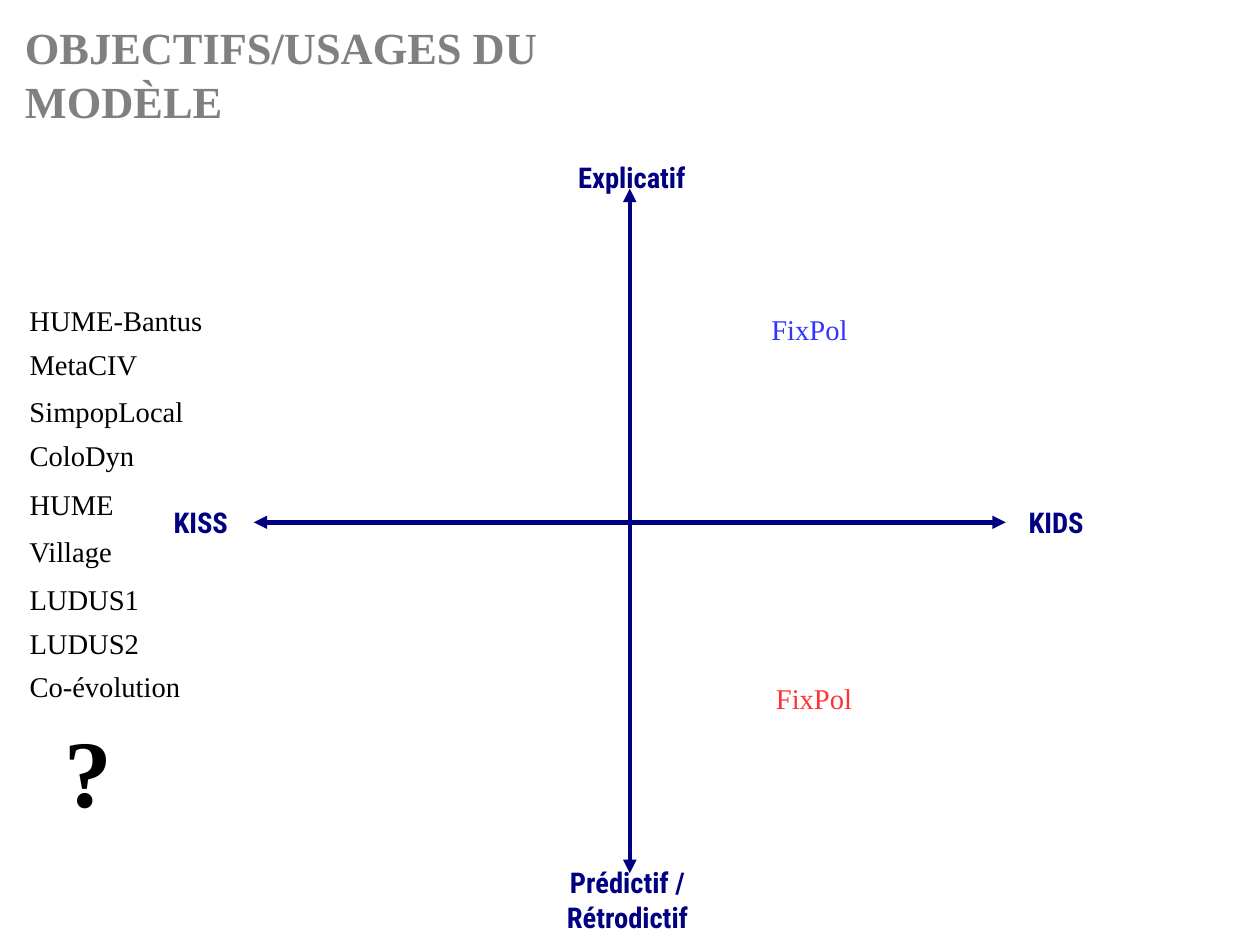
from lxml import etree
from pptx import Presentation
from pptx.dml.color import RGBColor
from pptx.enum.shapes import MSO_CONNECTOR as CONN
from pptx.enum.text import MSO_AUTO_SIZE as FIT, PP_ALIGN as AL
from pptx.oxml.ns import qn
from pptx.util import Inches, Pt

COLORS = {
    "axis": "000080",
    "title": "808080",
    "text": "000000",
    "blue": "3333FF",
    "red": "FF3333",
}
SERIF = "Times New Roman"
CONDENSED = "Roboto Condensed"
CM_PER_INCH = 2.54


class Board:
    def __init__(self, prs):
        self.slide = prs.slides.add_slide(prs.slide_layouts[6])

    def color(self, name):
        return RGBColor.from_string(COLORS[name])

    def text(self, text, x, y, w, h, color="text", size=18, font=SERIF,
             bold=False, align=AL.LEFT):
        sp = self.slide.shapes.add_textbox(Inches(x), Inches(y), Inches(w), Inches(h))
        tf = sp.text_frame
        tf.word_wrap = True
        tf.auto_size = FIT.SHAPE_TO_FIT_TEXT
        p = tf.paragraphs[0]
        p.alignment = align
        r = p.add_run()
        r.text = text
        r.font.name = font
        r.font.size = Pt(size)
        r.font.bold = bold
        r.font.color.rgb = self.color(color)

    def axis_label(self, text, x, y, w, h=0.39, align=AL.LEFT):
        self.text(text, x, y, w, h, "axis", font=CONDENSED, bold=True, align=align)

    def axis(self, x1, y1, x2, y2):
        cx = self.slide.shapes.add_connector(
            CONN.STRAIGHT, Inches(x1), Inches(y1), Inches(x2), Inches(y2))
        cx.line.color.rgb = self.color("axis")
        cx.line.width = Pt(2.83)
        ln = cx.line._get_or_add_ln()
        for end in ("a:headEnd", "a:tailEnd"):
            etree.SubElement(ln, qn(end), type="triangle")
        etree.SubElement(cx._element.spPr, qn("a:effectLst"))


def main():
    prs = Presentation()
    prs.slide_width = Inches(28 / CM_PER_INCH)
    prs.slide_height = Inches(21 / CM_PER_INCH)
    s = Board(prs)

    s.axis(5.51, 1.65, 5.51, 7.64)
    s.axis(8.8, 4.57, 2.22, 4.57)

    s.text("OBJECTIFS/USAGES DU MODÈLE", 0.12, 0.13, 6.45, 0.96, "title", 28, bold=True)

    s.axis_label("KIDS", 8.9, 4.37, 0.79)
    s.axis_label("KISS", 1.42, 4.37, 2.6)
    s.axis_label("Explicatif", 4.96, 1.35, 1.18)
    s.axis_label("Prédictif / Rétrodictif", 4.8, 7.52, 1.38, 0.68, AL.CENTER)

    models = [
        ("HUME-Bantus", 2.6, 1.97), ("MetaCIV", 2.99, 1.18),
        ("SimpopLocal", 3.4, 1.77), ("ColoDyn", 3.78, 1.18),
        ("HUME", 4.21, 1.18), ("Village", 4.62, 1.34),
        ("LUDUS1", 5.04, 1.18), ("LUDUS2", 5.43, 1.18),
        ("Co-évolution", 5.8, 1.61),
    ]
    for name, top, width in models:
        s.text(name, 0.16, top, width, 0.38)
    s.text("?", 0.47, 6.18, 0.71, 1.02, size=60, bold=True)

    s.text("FixPol", 6.65, 2.68, 0.94, 0.38, "blue")
    s.text("FixPol", 6.69, 5.91, 0.94, 0.38, "red")

    prs.save("out.pptx")


if __name__ == "__main__":
    main()
